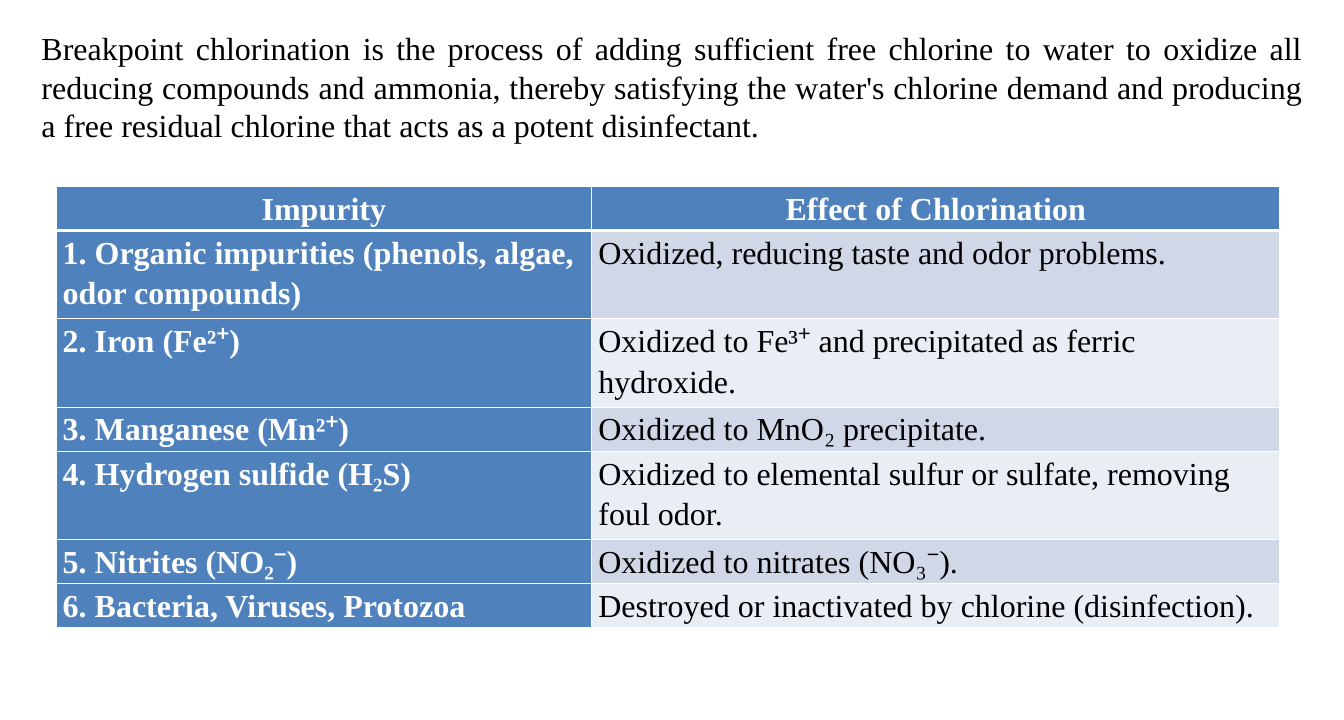
"""Build a slide on breakpoint chlorination with a table of its effects."""
from dataclasses import dataclass

import lxml.etree
import pptx
import pptx.dml.color
import pptx.enum.text
import pptx.oxml.ns
import pptx.util

RGB = pptx.dml.color.RGBColor.from_string
ALIGN = pptx.enum.text.PP_ALIGN
qn = pptx.oxml.ns.qn


@dataclass(frozen=True)
class Theme:
    font: str = "Times New Roman"
    size: float = 24
    ink: str = "000000"
    white: str = "FFFFFF"
    header: str = "4F81BD"
    bands: tuple = ("D0D8E8", "E9EDF4")
    rule: float = 1
    header_rule: float = 3
    line_spacing: float = 1.15


@dataclass(frozen=True)
class Treatment:
    impurity: str
    effect: str
    lines: int = 1


THEME = Theme()
WIDTH, HEIGHT = pptx.util.Inches(14), pptx.util.Inches(7.5)
LINE = pptx.util.Inches(0.46)
COLUMNS = (pptx.util.Inches(5.58), pptx.util.Inches(7.17))
TABLE_TOP = pptx.util.Inches(1.94)
INTRO = (
    "Breakpoint chlorination is the process of adding sufficient free chlorine to water "
    "to oxidize all reducing compounds and ammonia, thereby satisfying the water's "
    "chlorine demand and producing a free residual chlorine that acts as a potent disinfectant."
)
HEADINGS = Treatment("Impurity", "Effect of Chlorination")
TREATMENTS = (
    Treatment("1. Organic impurities (phenols, algae, odor compounds)",
              "Oxidized, reducing taste and odor problems.", 2),
    Treatment("2. Iron (Fe²⁺)", "Oxidized to Fe³⁺ and precipitated as ferric hydroxide.", 2),
    Treatment("3. Manganese (Mn²⁺)", "Oxidized to MnO₂ precipitate."),
    Treatment("4. Hydrogen sulfide (H₂S)",
              "Oxidized to elemental sulfur or sulfate, removing foul odor.", 2),
    Treatment("5. Nitrites (NO₂⁻)", "Oxidized to nitrates (NO₃⁻)."),
    Treatment("6. Bacteria, Viruses, Protozoa",
              "Destroyed or inactivated by chlorine (disinfection)."),
)


def write(tf, text: str, color: str, bold: bool = False, **paragraph) -> None:
    p = tf.paragraphs[0]
    for name, value in paragraph.items():
        setattr(p, name, value)
    r = p.add_run()
    r.text = text
    font = {"name": THEME.font, "size": pptx.util.Pt(THEME.size), "bold": bold}
    for name, value in font.items():
        setattr(r.font, name, value)
    r.font.color.rgb = RGB(color)


def add_intro(s) -> None:
    margin = round(WIDTH / 42)
    tf = s.shapes.add_textbox(margin, HEIGHT // 30, WIDTH - 2 * margin,
                              pptx.util.Inches(1.72)).text_frame
    tf.word_wrap = True
    write(tf, INTRO, THEME.ink, alignment=ALIGN.JUSTIFY)


def set_borders(cell, top: float, bottom: float) -> None:
    tc_pr = cell._tc.get_or_add_tcPr()
    widths = {"a:lnL": THEME.rule, "a:lnR": THEME.rule, "a:lnT": top, "a:lnB": bottom}
    for i, (tag, width) in enumerate(widths.items()):
        ln = lxml.etree.Element(qn(tag), w=str(pptx.util.Pt(width)))
        fill = lxml.etree.SubElement(ln, qn("a:solidFill"))
        lxml.etree.SubElement(fill, qn("a:srgbClr"), val=THEME.white)
        tc_pr.insert(i, ln)


def fill_cell(cell, text: str, row: int, column: int) -> None:
    is_header = row == 0
    strong = is_header or column == 0
    inset = pptx.util.Inches(0.07)
    margins = {"margin_left": inset, "margin_right": inset, "margin_top": 0, "margin_bottom": 0}
    for name, value in margins.items():
        setattr(cell, name, value)
    cell.fill.solid()
    cell.fill.fore_color.rgb = RGB(THEME.header if strong else THEME.bands[(row - 1) % 2])
    set_borders(cell, THEME.header_rule if row == 1 else THEME.rule,
                THEME.header_rule if is_header else THEME.rule)
    write(cell.text_frame, text, THEME.white if strong else THEME.ink, strong,
          alignment=ALIGN.CENTER if is_header else ALIGN.LEFT,
          line_spacing=THEME.line_spacing)


def add_treatments(s) -> None:
    rows = (HEADINGS, *TREATMENTS)
    width = sum(COLUMNS)
    table = s.shapes.add_table(len(rows), len(COLUMNS), round(WIDTH / 24), TABLE_TOP, width,
                               LINE * sum(row.lines for row in rows)).table
    for column, column_width in zip(table.columns, COLUMNS):
        column.width = column_width
    for i, row in enumerate(rows):
        table.rows[i].height = LINE * row.lines
        for j, text in enumerate((row.impurity, row.effect)):
            fill_cell(table.cell(i, j), text, i, j)


def main() -> None:
    prs = pptx.Presentation()
    prs.slide_width, prs.slide_height = WIDTH, HEIGHT
    s = prs.slides.add_slide(prs.slide_layouts.get_by_name("Blank"))
    add_intro(s)
    add_treatments(s)
    prs.save("out.pptx")


if __name__ == "__main__":
    main()
